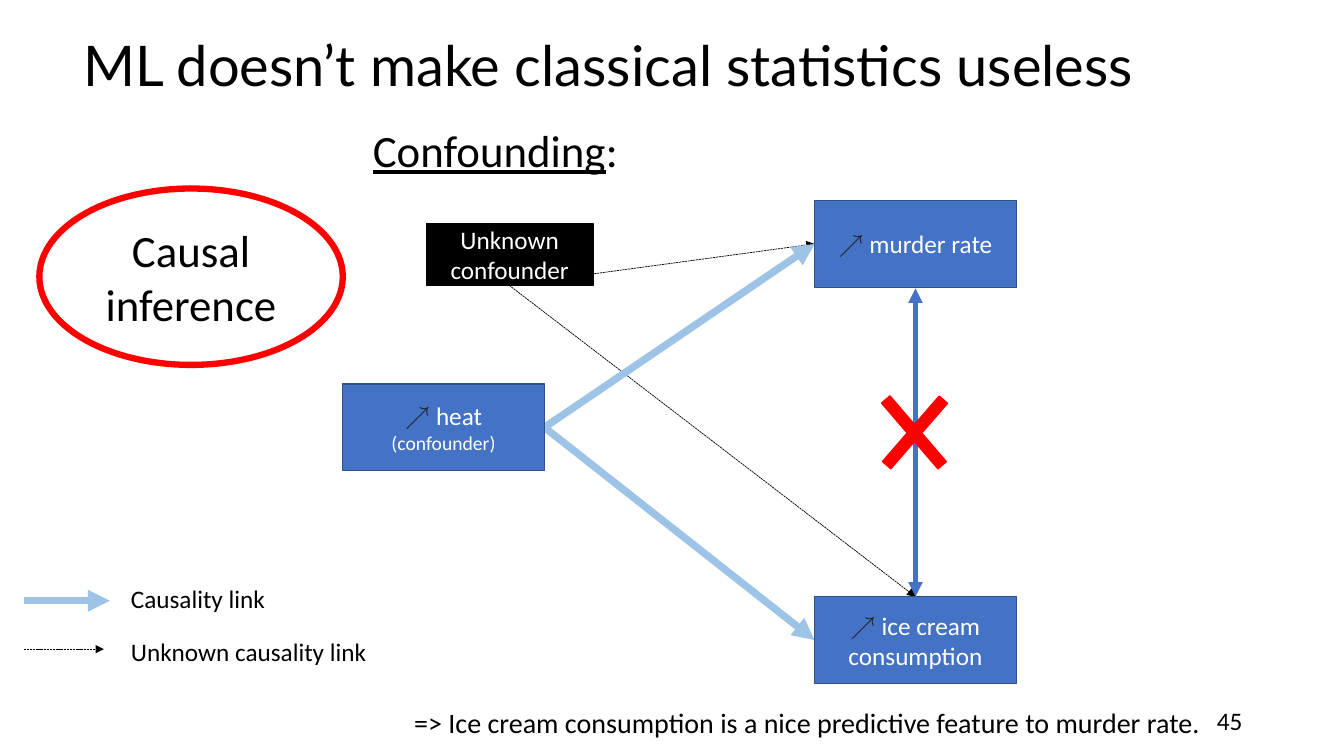
from lxml import etree
from pptx import Presentation
from pptx import util as u
from pptx.dml.color import RGBColor
from pptx.enum import dml, shapes, text
from pptx.oxml.ns import qn

PX = 9144  # 100 px to the inch
COLORS = {"black": "000000", "white": "FFFFFF", "blue": "4472C4", "edge": "2F528F",
          "sky": "9DC3E6", "red": "FF0000", "ink": "202122"}

deck = Presentation()
deck.slide_width, deck.slide_height = 1333 * PX, 750 * PX
page = deck.slides.add_slide(deck.slide_layouts[6])


def color(name):
    return RGBColor.from_string(COLORS[name])


def write(box, lines, align="LEFT", anchor="TOP"):
    """Fill a box; each line is a list of (words, size, colour, font, underline)."""
    frame = box.text_frame
    frame.word_wrap = True
    frame.vertical_anchor = getattr(text.MSO_ANCHOR, anchor)
    for index, line in enumerate(lines):
        para = frame.add_paragraph() if index else frame.paragraphs[0]
        para.alignment = getattr(text.PP_ALIGN, align)
        for words, size, ink, font, underline in line:
            span = para.add_run()
            span.text = words
            span.font.color.rgb = color(ink)
            formats = {"size": u.Pt(size), "name": font, "underline": underline}
            for key, value in formats.items():
                setattr(span.font, key, value)


# Plain texts: title, conclusion, heading, legend, page number
labels = [
    ((73, 25, 1201, 77), [("ML doesn’t make classical statistics useless", 40, "black", "Lato", None)],
     "LEFT", "TOP"),
    ((401, 695, 820, 44),
     [("=> Ice cream consumption is a nice predictive feature to murder rate.", 20, "black", "Calibri", None)],
     "LEFT", "TOP"),
    ((360, 117, 276, 64), [("Confounding", 32, "black", "Calibri", True), (":", 32, "black", "Calibri", None)],
     "LEFT", "TOP"),
    ((120, 574, 164, 40), [("Causality link", 18, "black", "Calibri", None)], "LEFT", "TOP"),
    ((120, 626, 265, 40), [("Unknown causality link", 18, "black", "Calibri", None)], "LEFT", "TOP"),
    ((942, 695, 300, 40), [("45", 18, "black", "Calibri", None)], "RIGHT", "MIDDLE"),
]
for place, line, align, anchor in labels:
    box = page.shapes.add_textbox(*(n * PX for n in place))
    write(box, [line], align, anchor)

# Arrows: start, end, colour, width, dashed, heads at both ends
arrows = [
    ((908, 286), (908, 592), "blue", 3.5, False, True),
    ((505, 283), (908, 592), "black", 0.5, True, False),
    ((505, 283), (808, 242), "black", 0.5, True, False),
    ((540, 424), (808, 635), "sky", 5.25, False, False),
    ((540, 424), (808, 242), "sky", 5.25, False, False),
    ((24, 596), (109, 596), "sky", 5.25, False, False),
    ((24, 644), (103, 644), "black", 0.5, True, False),
]
for start, end, ink, width, dashed, both in arrows:
    arrow = page.shapes.add_connector(shapes.MSO_CONNECTOR.STRAIGHT, *(n * PX for n in start + end))
    arrow.line.color.rgb = color(ink)
    arrow.line.width = u.Pt(width)
    if dashed:
        arrow.line.dash_style = dml.MSO_LINE.SQUARE_DOT
    for tag in ["a:headEnd", "a:tailEnd"] if both else ["a:tailEnd"]:
        etree.SubElement(arrow.line._get_or_add_ln(), qn(tag), type="triangle")
    etree.SubElement(arrow._element.spPr, qn("a:effectLst"))

# Boxes, cross bars and ellipse: kind, place, turn, fill, line, line width, lines
rise = ("↗", 18, "ink", "Arial", None)
nodes = [
    ("RECTANGLE", (340, 381, 200, 86), 0, "blue", "edge", 1,
     [[rise, (" heat", 18, "white", "Calibri", None)], [("(confounder)", 14, "white", "Calibri", None)]]),
    ("RECTANGLE", (808, 592, 200, 86), 0, "blue", "edge", 1,
     [[rise, (" ice cream consumption", 18, "white", "Calibri", None)]]),
    ("RECTANGLE", (808, 199, 200, 86), 0, "blue", "edge", 1,
     [[rise, (" murder rate", 18, "white", "Calibri", None)]]),
    ("RECTANGLE", (423, 222, 165, 61), 0, "black", "black", 1,
     [[("Unknown confounder", 18, "white", "Calibri", None)]]),
    ("RECTANGLE", (901, 386, 11, 86), 319.4, "red", "red", 1, []),
    ("RECTANGLE", (902, 386, 11, 86), 40.9, "red", "red", 1, []),
    ("OVAL", (39, 187, 301, 175), 0, None, "red", 4.5,
     [[("Causal inference", 32, "black", "Calibri", None)]]),
]
for kind, place, turn, fill, edge, width, lines in nodes:
    node = page.shapes.add_shape(getattr(shapes.MSO_SHAPE, kind), *(n * PX for n in place))
    node.shadow.inherit = False
    node.rotation = turn
    if fill:
        node.fill.solid()
        node.fill.fore_color.rgb = color(fill)
    else:
        node.fill.background()
    node.line.color.rgb = color(edge)
    node.line.width = u.Pt(width)
    write(node, lines, "CENTER", "MIDDLE")

deck.save("out.pptx")
